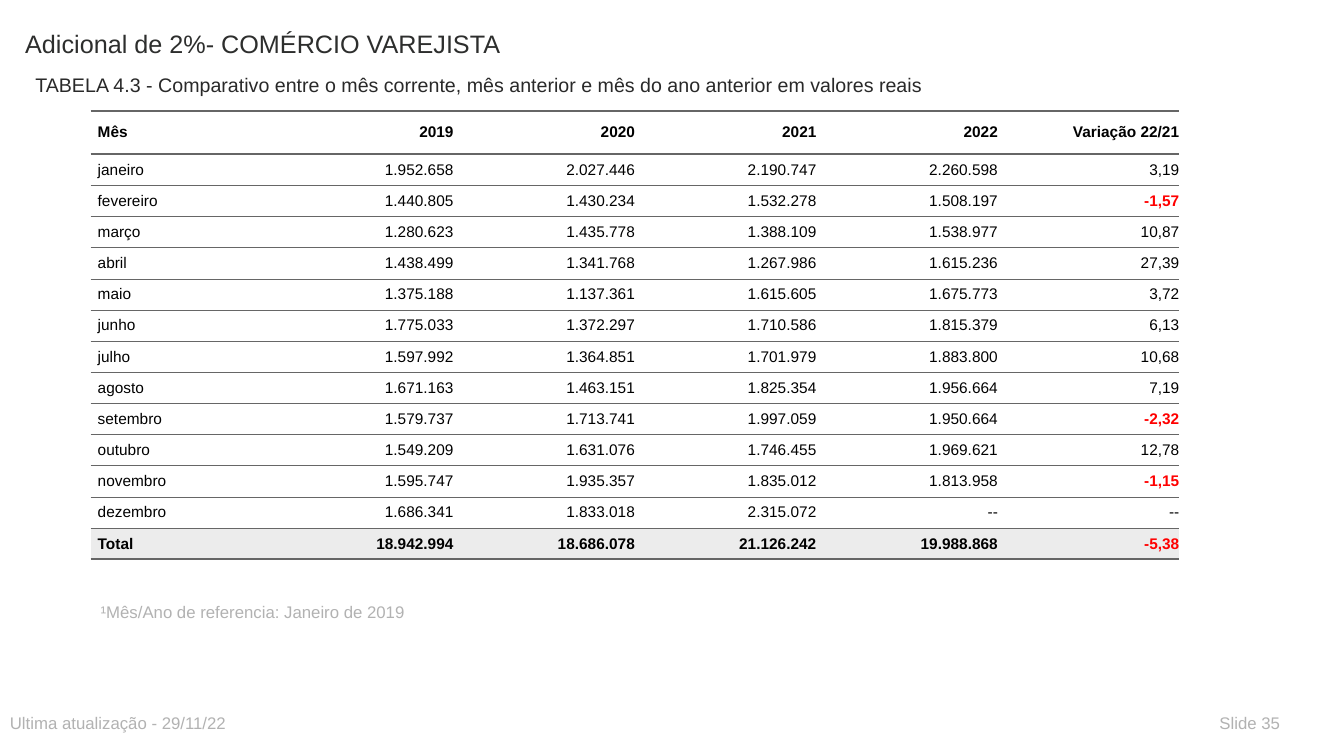
from dataclasses import dataclass

from lxml import etree
from pptx import Presentation
from pptx import util as u
from pptx.dml import color
from pptx.enum import text
from pptx.oxml import ns


@dataclass(frozen=True)
class Theme:
    font: str = "Arial"
    title_size: int = 18
    subtitle_size: int = 14
    note_size: int = 12
    table_size: int = 11
    title: str = "2D2E2D"
    subtitle: str = "292929"
    note: str = "B2B2B2"
    ink: str = "000000"
    negative: str = "FF0000"
    rule: str = "666666"
    row: str = "FFFFFF"
    total: str = "ECECEC"
    thin: float = 0.5
    thick: float = 2


THEME = Theme()

HEADER = ["Mês", "2019", "2020", "2021", "2022", "Variação 22/21"]
MONTHS = [
    ["janeiro", "1.952.658", "2.027.446", "2.190.747", "2.260.598", "3,19"],
    ["fevereiro", "1.440.805", "1.430.234", "1.532.278", "1.508.197", "-1,57"],
    ["março", "1.280.623", "1.435.778", "1.388.109", "1.538.977", "10,87"],
    ["abril", "1.438.499", "1.341.768", "1.267.986", "1.615.236", "27,39"],
    ["maio", "1.375.188", "1.137.361", "1.615.605", "1.675.773", "3,72"],
    ["junho", "1.775.033", "1.372.297", "1.710.586", "1.815.379", "6,13"],
    ["julho", "1.597.992", "1.364.851", "1.701.979", "1.883.800", "10,68"],
    ["agosto", "1.671.163", "1.463.151", "1.825.354", "1.956.664", "7,19"],
    ["setembro", "1.579.737", "1.713.741", "1.997.059", "1.950.664", "-2,32"],
    ["outubro", "1.549.209", "1.631.076", "1.746.455", "1.969.621", "12,78"],
    ["novembro", "1.595.747", "1.935.357", "1.835.012", "1.813.958", "-1,15"],
    ["dezembro", "1.686.341", "1.833.018", "2.315.072", "--", "--"],
]
TOTAL = ["Total", "18.942.994", "18.686.078", "21.126.242", "19.988.868", "-5,38"]


def style_font(paragraph, size, rgb, bold=False):
    paragraph.font.name = THEME.font
    paragraph.font.size = u.Pt(size)
    paragraph.font.bold = bold
    paragraph.font.color.rgb = color.RGBColor.from_string(rgb)


def write_line(shape, box, words, size, rgb):
    shape.left, shape.top, shape.width, shape.height = map(u.Pt, box)
    frame = shape.text_frame
    frame.word_wrap = True
    frame.auto_size = text.MSO_AUTO_SIZE.NONE
    frame.vertical_anchor = text.MSO_ANCHOR.TOP
    paragraph = frame.paragraphs[0]
    paragraph.text = words
    paragraph.alignment = text.PP_ALIGN.LEFT
    paragraph.space_before = u.Pt(0)
    paragraph.line_spacing = 1.1
    properties = paragraph._p.get_or_add_pPr()
    properties.set("marL", "0")
    properties.set("indent", "0")
    etree.SubElement(properties, ns.qn("a:buNone"))
    style_font(paragraph, size, rgb)


def add_note(slide, box, words):
    shape = slide.shapes.add_textbox(*map(u.Pt, box))
    write_line(shape, box, words, THEME.note_size, THEME.note)


def add_heading(slide, box):
    left, top, width, height = box
    write_line(slide.shapes.title, (left, top, width - 151.2, height - 11.5),
               "Adicional de 2%- COMÉRCIO VAREJISTA", THEME.title_size, THEME.title)
    write_line(slide.placeholders[1], (left + 7.2, top + 32.4, width - 7.2, 21.6),
               "TABELA 4.3 - Comparativo entre o mês corrente, mês anterior "
               "e mês do ano anterior em valores reais",
               THEME.subtitle_size, THEME.subtitle)


def set_borders(cell, top, bottom):
    properties = cell._tc.get_or_add_tcPr()
    for side, width in (("L", 0), ("R", 0), ("T", top), ("B", bottom)):
        line = etree.SubElement(properties, ns.qn(f"a:ln{side}"), w=str(u.Pt(width)))
        if width:
            fill = etree.SubElement(line, ns.qn("a:solidFill"))
            etree.SubElement(fill, ns.qn("a:srgbClr"), val=THEME.rule)
        else:
            etree.SubElement(line, ns.qn("a:noFill"))


def fill_cell(cell, words, numeric, bold, background):
    cell.fill.solid()
    cell.fill.fore_color.rgb = color.RGBColor.from_string(background)
    cell.vertical_anchor = text.MSO_ANCHOR.MIDDLE
    cell.margin_left = cell.margin_right = 0
    cell.margin_top = cell.margin_bottom = u.Pt(5)
    paragraph = cell.text_frame.paragraphs[0]
    paragraph.text = words
    paragraph.alignment = text.PP_ALIGN.RIGHT if numeric else text.PP_ALIGN.LEFT
    properties = paragraph._p.get_or_add_pPr()
    properties.set("marL", str(u.Pt(5)))
    properties.set("indent", "0")
    negative = words.startswith("-") and words != "--"
    style_font(paragraph, THEME.table_size,
               THEME.negative if negative else THEME.ink, bold or negative)


def add_comparison_table(slide, box, header_height):
    rows = [HEADER, *MONTHS, TOTAL]
    last = len(rows) - 1
    left, top, width, height = box
    table = slide.shapes.add_table(len(rows), len(HEADER), *map(u.Pt, box)).table
    table.first_row = table.horz_banding = False
    for column in table.columns:
        column.width = u.Pt(width / len(HEADER))
    for index, values in enumerate(rows):
        table.rows[index].height = u.Pt(
            (height - header_height) / last if index else header_height)
        upper = THEME.thick if index < 2 else THEME.thin
        lower = THEME.thick if index in (0, last) else THEME.thin
        for position, words in enumerate(values):
            cell = table.cell(index, position)
            set_borders(cell, upper, lower)
            fill_cell(cell, words, position > 0, index in (0, last),
                      THEME.total if index == last else THEME.row)


def add_footer(slide, box):
    left, top, width, height = box
    add_note(slide, (left, top, 468, height), "Ultima atualização - 29/11/22")
    add_note(slide, (left + width - 64.8, top, 64.8, height), "Slide 35")


def main():
    presentation = Presentation()
    presentation.slide_width = u.Pt(960)
    presentation.slide_height = u.Pt(540)
    slide = presentation.slides.add_slide(presentation.slide_layouts[1])
    add_heading(slide, (10.8, 14.4, 727.2, 54))
    add_comparison_table(slide, (64.8, 79.2, 777.6, 320.25), 31)
    add_note(slide, (64.8, 424.8, 468, 21.6), "¹Mês/Ano de referencia: Janeiro de 2019")
    add_footer(slide, (0, 504, 928.8, 21.6))
    presentation.save("out.pptx")


if __name__ == "__main__":
    main()
